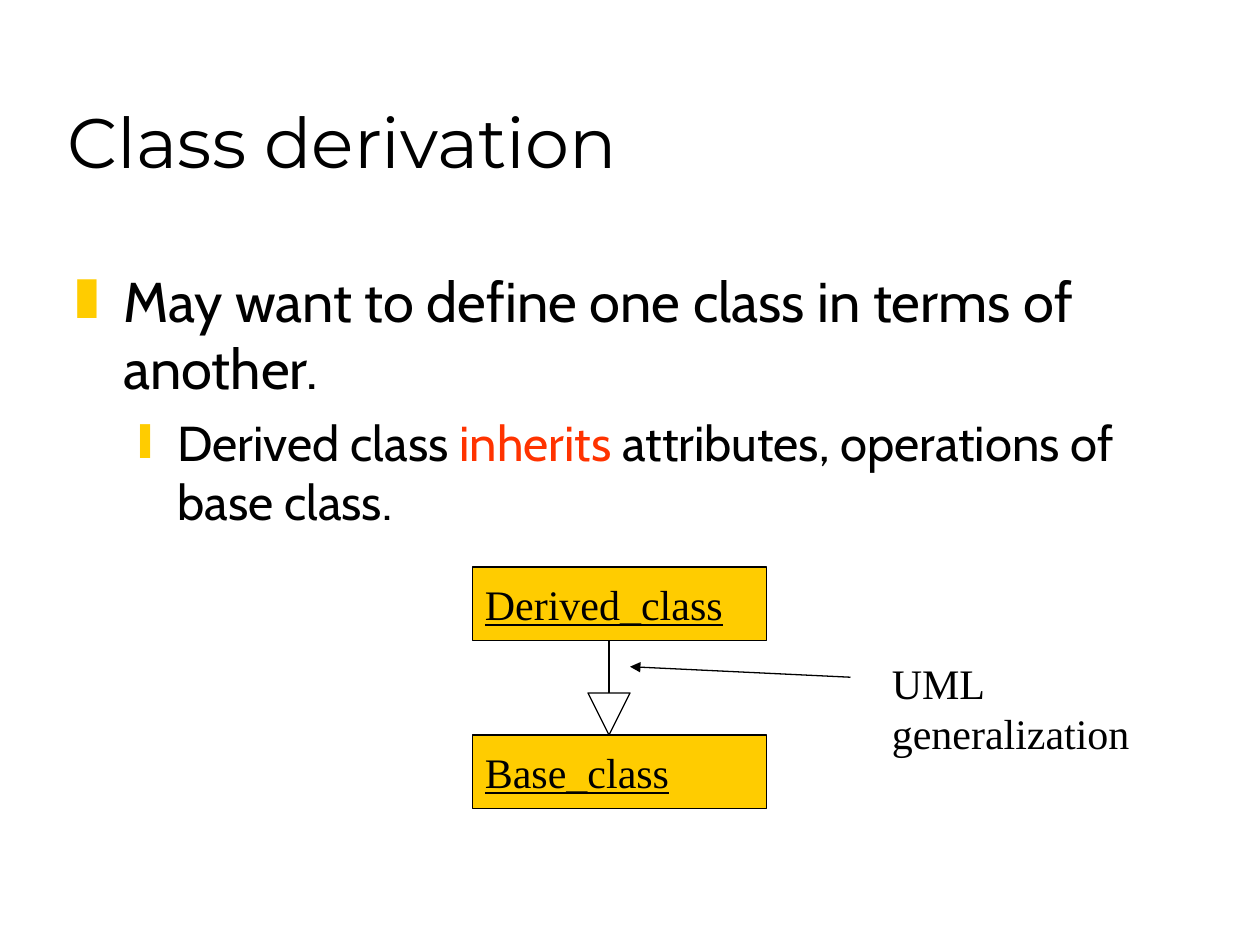
from dataclasses import dataclass

from lxml import etree
from pptx import Presentation
from pptx import util as u
from pptx.dml.color import RGBColor
from pptx.enum import shapes, text
from pptx.oxml.ns import qn


@dataclass(frozen=True)
class Theme:
    ink: str = "000000"
    paper: str = "FFFFFF"
    gold: str = "FFCC00"
    red: str = "FF3300"
    head: str = "Montserrat"
    body: str = "Cabin"
    serif: str = "Times New Roman"
    title: int = 40
    main: int = 32
    sub: int = 28
    label: int = 24
    line: float = 0.75


T = Theme()
CELL = u.Inches(1) / 12


def grid(*vals):
    return [round(v * CELL) for v in vals]


def color(hue):
    return RGBColor.from_string(hue)


def style(para, face, size, under=None):
    font = para.font
    font.name, font.size, font.underline = face, u.Pt(size), under
    font.color.rgb = color(T.ink)


def add_frame(slide, area):
    frame = slide.shapes.add_textbox(*grid(*area)).text_frame
    frame.word_wrap = True
    return frame


def add_text(slide, area, lines, face, size, anchor):
    frame = add_frame(slide, area)
    frame.vertical_anchor = anchor
    frame.text = "\n".join(lines)
    for para in frame.paragraphs:
        style(para, face, size)


def bullet(para, mark, left, hang):
    props = para._p.get_or_add_pPr()
    props.set("marL", str(u.Inches(left)))
    props.set("indent", str(-u.Inches(hang)))
    tint = etree.SubElement(props, qn("a:buClr"))
    etree.SubElement(tint, qn("a:srgbClr"), val=T.gold)
    etree.SubElement(props, qn("a:buFont"), typeface=T.serif)
    etree.SubElement(props, qn("a:buChar"), char=mark)


def add_points(slide, area):
    frame = add_frame(slide, area)
    main = frame.paragraphs[0]
    main.text = "May want to define one class in terms of another."
    bullet(main, "❚", 0.38, 0.38)
    style(main, T.body, T.main)
    sub = frame.add_paragraph()
    sub.level = 1
    bullet(sub, "❙", 0.81, 0.31)
    sub.space_before = u.Pt(7)
    style(sub, T.body, T.sub)
    parts = ["Derived class ", "inherits", " attributes, operations of base class."]
    for part in parts:
        sub.add_run().text = part
    sub.runs[1].font.color.rgb = color(T.red)


def add_form(slide, kind, area, fill):
    form = slide.shapes.add_shape(kind, *grid(*area))
    form.shadow.inherit = False
    form.fill.solid()
    form.fill.fore_color.rgb = color(fill)
    form.line.color.rgb = color(T.ink)
    form.line.width = u.Pt(T.line)
    return form


def add_class(slide, area, name):
    form = add_form(slide, shapes.MSO_SHAPE.RECTANGLE, area, T.gold)
    frame = form.text_frame
    frame.vertical_anchor = text.MSO_ANCHOR.MIDDLE
    para = frame.paragraphs[0]
    para.text = name
    para.alignment = text.PP_ALIGN.LEFT
    style(para, T.serif, T.label, True)


def add_line(slide, ends, arrow=False):
    link = slide.shapes.add_connector(shapes.MSO_CONNECTOR.STRAIGHT, *grid(*ends))
    link.line.color.rgb = color(T.ink)
    link.line.width = u.Pt(T.line)
    if arrow:
        etree.SubElement(link.line._get_or_add_ln(), qn("a:tailEnd"), type="triangle")
    etree.SubElement(link._element.spPr, qn("a:effectLst"))


def main():
    deck = Presentation()
    deck.slide_width, deck.slide_height = grid(120, 90)
    slide = deck.slides.add_slide(deck.slide_layouts[6])
    anchor = text.MSO_ANCHOR

    add_text(slide, (5.25, 3, 102, 15), ["Class derivation"],
             T.head, T.title, anchor.BOTTOM)
    add_points(slide, (6, 24.75, 107.25, 29.25))

    left, wide, high = 45, 28, 7
    top, base = 54, 70
    mid, tip = 58, 4
    for row, name in ((top, "Derived_class"), (base, "Base_class")):
        add_class(slide, (left, row, wide, high), name)
    head = add_form(slide, shapes.MSO_SHAPE.ISOSCELES_TRIANGLE,
                    (mid - tip / 2, base - tip, tip, tip), T.paper)
    head.rotation = 180
    add_line(slide, (mid, base - tip, mid, top + high))

    add_line(slide, (81, 64.5, 60, 63.5), arrow=True)
    add_text(slide, (83.75, 62, 27, 10.8), ["UML", "generalization"],
             T.serif, T.label, anchor.TOP)
    deck.save("out.pptx")


if __name__ == "__main__":
    main()
